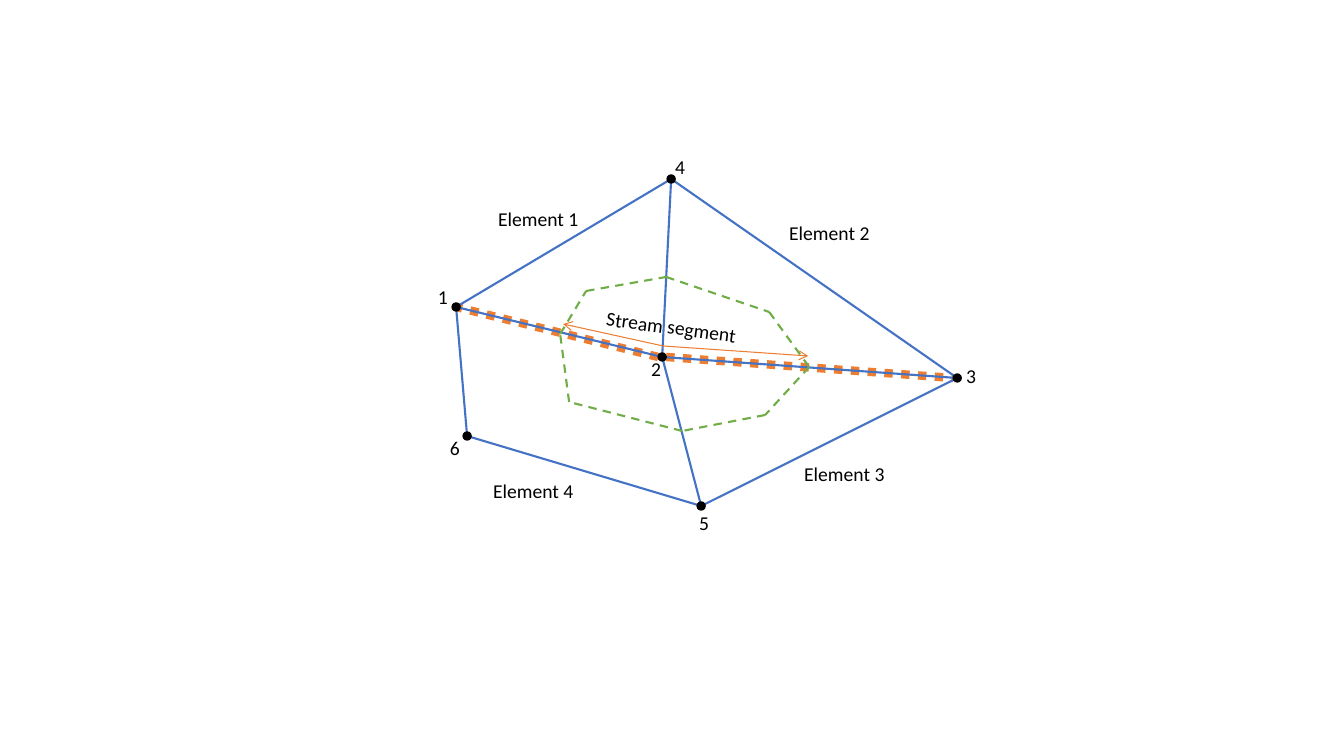
from itertools import pairwise

from lxml.etree import SubElement
from pptx import Presentation
from pptx.dml.color import RGBColor
from pptx.enum.dml import MSO_LINE
from pptx.enum.shapes import MSO_CONNECTOR, MSO_SHAPE
from pptx.enum.text import MSO_AUTO_SIZE
from pptx.oxml.ns import qn
from pptx.util import Emu, Inches, Pt

BLACK = RGBColor(0x00, 0x00, 0x00)
BLUE = RGBColor(0x44, 0x72, 0xC4)
ORANGE = RGBColor(0xED, 0x7D, 0x31)
GREEN = RGBColor(0x70, 0xAD, 0x47)
EMU_PER_PX = 914400 / 100.8
RADIUS = 4


def px(n):
    return Emu(round(n * EMU_PER_PX))


class Canvas:
    font = "Calibri"
    size = Pt(14)

    def __init__(self, slide):
        self.shapes = slide.shapes

    def line(self, start, end, color, width, dash=None, arrow=False):
        sp = self.shapes.add_connector(
            MSO_CONNECTOR.STRAIGHT, *(px(n) for n in (*start, *end)))
        sp.line.color.rgb = color
        sp.line.width = Pt(width)
        if dash:
            sp.line.dash_style = dash
        if arrow:
            SubElement(sp.line._get_or_add_ln(), qn("a:tailEnd"), type="arrow")
        SubElement(sp._element.spPr, qn("a:effectLst"))

    def dot(self, center):
        x, y = center
        sp = self.shapes.add_shape(
            MSO_SHAPE.OVAL, px(x - RADIUS), px(y - RADIUS), px(2 * RADIUS), px(2 * RADIUS))
        sp.shadow.inherit = False
        sp.fill.solid()
        sp.fill.fore_color.rgb = BLACK
        sp.line.color.rgb = BLACK
        sp.line.width = Pt(1)

    def label(self, text, left, top, width, rotation=0):
        sp = self.shapes.add_textbox(px(left), px(top), px(width), px(34))
        sp.rotation = rotation
        tf = sp.text_frame
        tf.text = text
        tf.word_wrap = False
        tf.auto_size = MSO_AUTO_SIZE.SHAPE_TO_FIT_TEXT
        font = tf.paragraphs[0].runs[0].font
        font.name, font.size, font.color.rgb = self.font, self.size, BLACK


prs = Presentation()
prs.slide_width, prs.slide_height = Inches(13.33), Inches(7.5)
canvas = Canvas(prs.slides.add_slide(prs.slide_layouts[6]))

nodes = {1: (456, 307), 2: (662, 357), 3: (957, 378),
         4: (671, 179), 5: (701, 506), 6: (467, 436)}


def beside(node, dx):
    x, y = nodes[node]
    return x + dx, y


# Stream along nodes 1, 2 and 3
for start, end in [(beside(2, -RADIUS), nodes[1]),
                   (beside(2, RADIUS), beside(3, -RADIUS))]:
    canvas.line(start, end, ORANGE, 6, MSO_LINE.ROUND_DOT)

# Mesh edges and nodes
for a, b in [(1, 4), (3, 4), (1, 6), (5, 6), (5, 3), (2, 3), (2, 1), (2, 4), (2, 5)]:
    canvas.line(nodes[a], nodes[b], BLUE, 1.5)
for center in nodes.values():
    canvas.dot(center)

# Node numbers and element names
number_spots = {1: (428, 280), 2: (641, 352), 3: (956, 359),
                4: (665, 150), 5: (689, 506), 6: (440, 431)}
for number, (left, top) in number_spots.items():
    canvas.label(str(number), left, top, 30)
element_spots = [(488, 202), (779, 216), (794, 457), (483, 474)]
for number, (left, top) in enumerate(element_spots, 1):
    canvas.label(f"Element {number}", left, top, 102)

# Dashed control volume around node 2
volume = [(682, 431), (569, 402), (560, 334), (586, 291),
          (666, 277), (769, 312), (809, 367), (765, 415)]
for start, end in pairwise(volume + volume[:1]):
    canvas.line(start, end, GREEN, 1.5, MSO_LINE.DASH)

# Stream segment inside the control volume
for end in [(808, 356), (563, 324)]:
    canvas.line((663, 346), end, ORANGE, 0.75, arrow=True)
canvas.label("Stream segment", 596, 310, 152, rotation=7.5)

prs.save("out.pptx")
